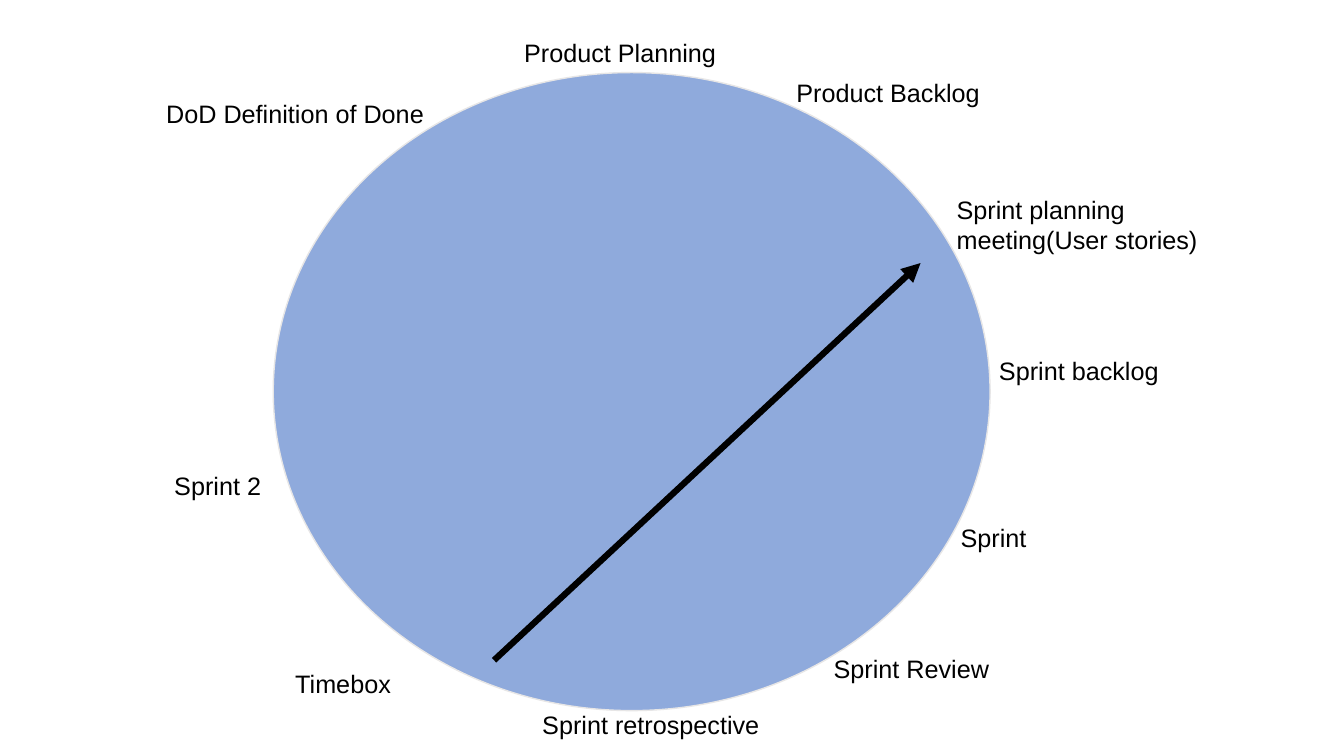
import pptx
import pptx.util
import pptx.dml.color
import pptx.enum.shapes
import pptx.enum.text
import pptx.oxml.ns
import lxml.etree

Inches = pptx.util.Inches
LABEL_WIDTH = 3
LINE_HEIGHT = 0.4
TWO_LINE_HEIGHT = 0.71

CYCLE_LABELS = [
    ("Product Planning", 5.1, 0.32, LINE_HEIGHT),
    ("Product Backlog", 7.8, 0.72, LINE_HEIGHT),
    ("Sprint planning meeting(User stories)", 9.39, 1.88, TWO_LINE_HEIGHT),
    ("Sprint backlog", 9.81, 3.48, LINE_HEIGHT),
    ("Sprint", 9.43, 5.13, LINE_HEIGHT),
    ("Sprint Review", 8.17, 6.43, LINE_HEIGHT),
    ("Sprint retrospective", 5.28, 6.99, LINE_HEIGHT),
    ("Timebox", 2.83, 6.58, LINE_HEIGHT),
    ("Sprint 2", 1.63, 4.62, LINE_HEIGHT),
    ("DoD Definition of Done", 1.55, 0.93, LINE_HEIGHT),
]


def color(hex_value):
    return pptx.dml.color.RGBColor.from_string(hex_value)


def add_cycle(slide, left, top, width, height):
    cycle = slide.shapes.add_shape(
        pptx.enum.shapes.MSO_SHAPE.OVAL,
        Inches(left), Inches(top), Inches(width), Inches(height))
    cycle.shadow.inherit = False
    cycle.fill.solid()
    cycle.fill.fore_color.rgb = color("8FAADC")
    cycle.line.color.rgb = color("E7E6E6")
    cycle.line.width = pptx.util.Pt(1)


def add_label(slide, text, left, top, height):
    label = slide.shapes.add_textbox(
        Inches(left), Inches(top), Inches(LABEL_WIDTH), Inches(height))
    frame = label.text_frame
    frame.word_wrap = True
    frame.auto_size = pptx.enum.text.MSO_AUTO_SIZE.SHAPE_TO_FIT_TEXT
    run = frame.paragraphs[0].add_run()
    run.text = text
    run.font.name = "Arial"
    run.font.size = pptx.util.Pt(18)
    run.font.color.rgb = color("000000")


def add_arrow(slide, start_x, start_y, end_x, end_y):
    arrow = slide.shapes.add_connector(
        pptx.enum.shapes.MSO_CONNECTOR.STRAIGHT,
        Inches(start_x), Inches(start_y), Inches(end_x), Inches(end_y))
    arrow.line.color.rgb = color("000000")
    arrow.line.width = pptx.util.Pt(4.5)
    qn = pptx.oxml.ns.qn
    properties = arrow.element.spPr
    outline = properties.find(qn("a:ln"))
    lxml.etree.SubElement(outline, qn("a:tailEnd"), type="triangle")
    lxml.etree.SubElement(properties, qn("a:effectLst"))


def main():
    presentation = pptx.Presentation()
    presentation.slide_width = Inches(13.33)
    presentation.slide_height = Inches(7.5)
    slide = presentation.slides.add_slide(presentation.slide_layouts[6])
    add_cycle(slide, 2.71, 0.72, 7.11, 6.33)
    for text, left, top, height in CYCLE_LABELS:
        add_label(slide, text, left, top, height)
    add_arrow(slide, 4.9, 6.55, 9.13, 2.61)
    presentation.save("out.pptx")


if __name__ == "__main__":
    main()
